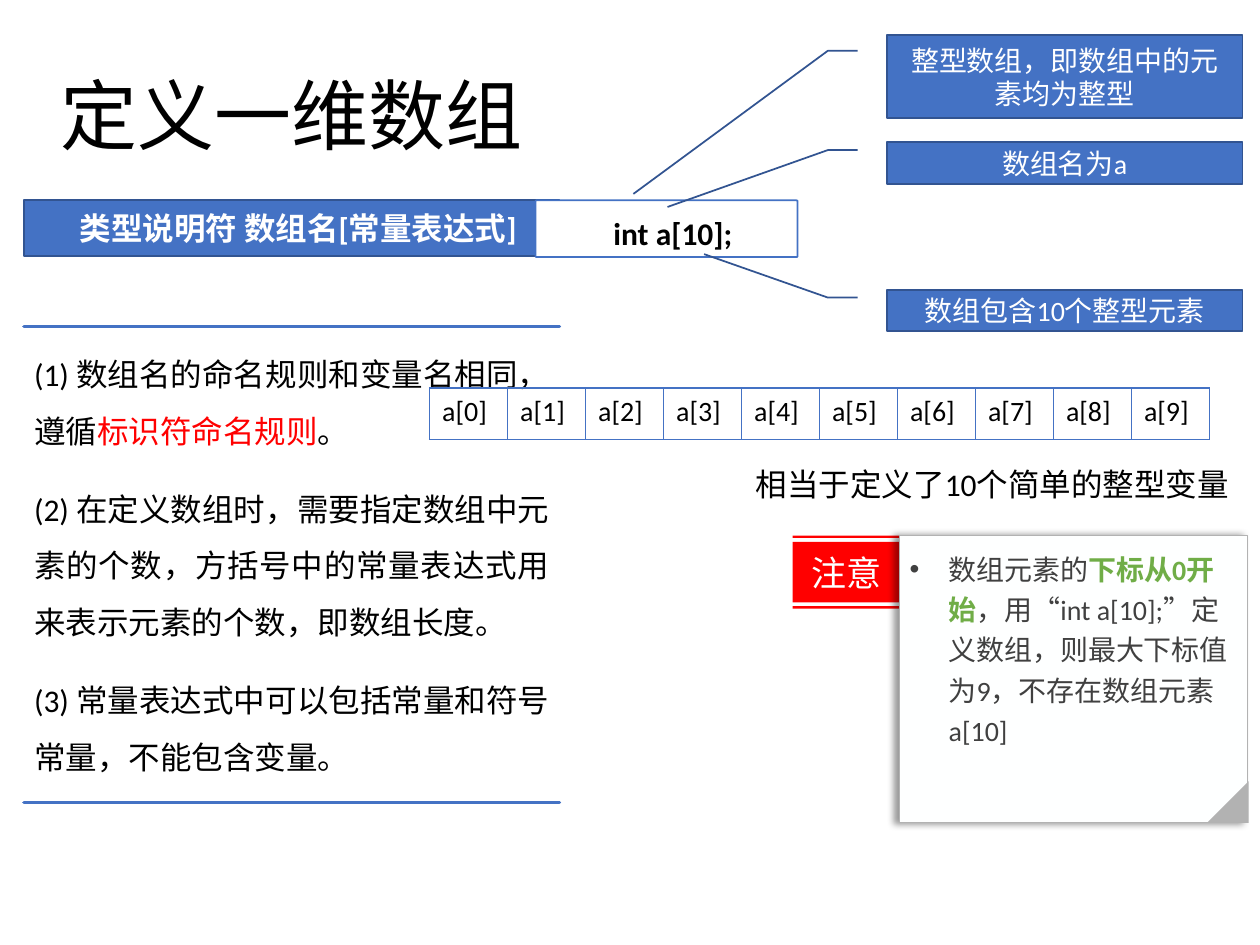
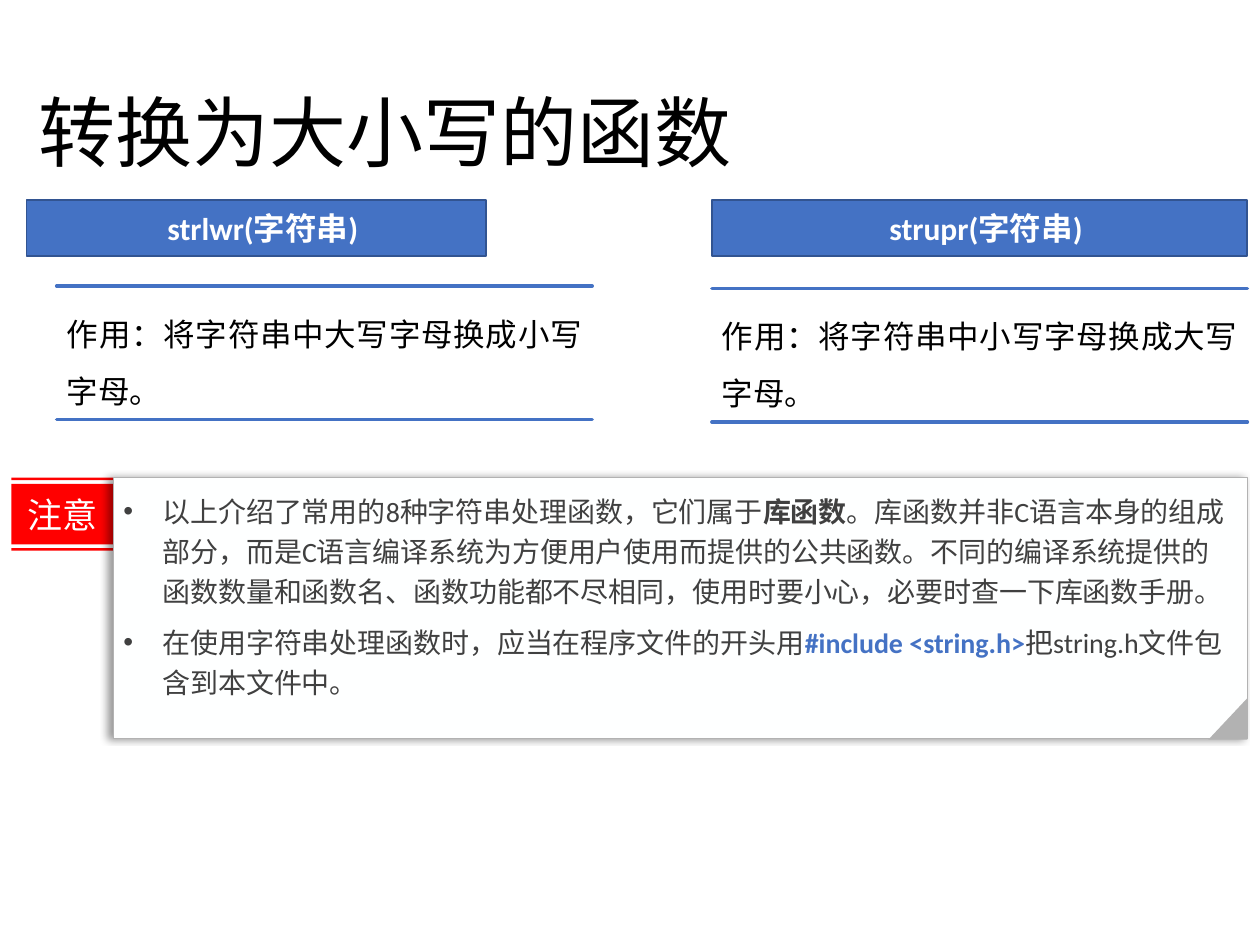
from dataclasses import dataclass

from lxml import etree
from pptx import Presentation
from pptx.dml.color import RGBColor
from pptx.enum.lang import MSO_LANGUAGE_ID
from pptx.enum.shapes import MSO_SHAPE
from pptx.enum.text import MSO_ANCHOR, PP_ALIGN
from pptx.oxml.ns import qn
from pptx.util import Inches, Pt

RECT, ROUND_RECT = MSO_SHAPE.RECTANGLE, MSO_SHAPE.ROUNDED_RECTANGLE
CALLOUT, CORNER = MSO_SHAPE.LINE_CALLOUT_2, MSO_SHAPE.RIGHT_TRIANGLE
TOP, MIDDLE = MSO_ANCHOR.TOP, MSO_ANCHOR.MIDDLE
LEFT, CENTER = PP_ALIGN.LEFT, PP_ALIGN.CENTER
RIGHT, JUSTIFY = PP_ALIGN.RIGHT, PP_ALIGN.JUSTIFY
CHINESE = MSO_LANGUAGE_ID.SIMPLIFIED_CHINESE


@dataclass(frozen=True)
class Theme:
    font: str = "Calibri"
    title: int = 44
    tag: int = 20
    body: int = 18
    small: int = 16
    black: str = "000000"
    white: str = "FFFFFF"
    paper: str = "FEFFFF"
    blue: str = "4472C4"
    dark_blue: str = "325491"
    red: str = "FF0000"
    green: str = "70AD47"
    gray: str = "B2B2B2"
    dark_gray: str = "404040"


THEME = Theme()
BAR_INSETS = (0.2, 0.05, 0.1, 0.05)
NOTE_INSETS = (0.08,) * 4
TEXT_INSETS = (0.1, 0.05, 0.1, 0.05)


def rgb(color):
    return RGBColor.from_string(color)


def sub(parent, tag, **attrs):
    return etree.SubElement(parent, qn(tag), {k: str(v) for k, v in attrs.items()})


def add_bullet(p, indent=0.31):
    pPr = p._p.get_or_add_pPr()
    pPr.set("marL", str(Inches(indent)))
    pPr.set("indent", str(Inches(-indent)))
    sub(pPr, "a:buFont", typeface="Arial")
    sub(pPr, "a:buChar", char="•")


def put_text(tf, paragraphs, size=THEME.body, color=THEME.black, bold=False,
             align=LEFT, anchor=TOP, insets=TEXT_INSETS, spacing=None,
             before=None, after=None, bullet=False):
    """Each paragraph is a string or a list of strings and (string, format) runs."""
    tf.word_wrap = True
    tf.vertical_anchor = anchor
    tf.margin_left, tf.margin_top, tf.margin_right, tf.margin_bottom = map(Inches, insets)
    if isinstance(paragraphs, str):
        paragraphs = [paragraphs]
    for i, runs in enumerate(paragraphs):
        p = tf.add_paragraph() if i else tf.paragraphs[0]
        if bullet:
            add_bullet(p)
        p.alignment = align
        if spacing:
            p.line_spacing = spacing
        if before and i:
            p.space_before = Pt(before)
        if after:
            p.space_after = Pt(after)
        for run in [runs] if isinstance(runs, str) else runs:
            text, own = (run, {}) if isinstance(run, str) else run
            r = p.add_run()
            r.text = text
            r.font.name = THEME.font
            r.font.size = Pt(size)
            r.font.bold = own.get("bold", bold)
            r.font.color.rgb = rgb(own.get("color", color))
            r.font.language_id = CHINESE


class Deck:
    def __init__(self, theme):
        self.theme = theme
        self.prs = Presentation()
        self.prs.slide_width, self.prs.slide_height = Inches(10), Inches(7.5)
        self.s = None

    def new_slide(self, title, x, y):
        self.s = self.prs.slides.add_slide(self.prs.slide_layouts[6])
        self.label(title, x, y, 6.48, 1.45, size=self.theme.title, anchor=MIDDLE, spacing=0.9)

    def label(self, text, x, y, w, h, **fmt):
        sp = self.s.shapes.add_textbox(*map(Inches, (x, y, w, h)))
        put_text(sp.text_frame, text, **fmt)

    def paint(self, sp, fill=None, line=None, width=1):
        sp.shadow.inherit = False
        if fill:
            sp.fill.solid()
            sp.fill.fore_color.rgb = rgb(fill)
        else:
            sp.fill.background()
        if line:
            sp.line.color.rgb = rgb(line)
            sp.line.width = Pt(width)
        else:
            sp.line.fill.background()

    def shape(self, kind, x, y, w, h, fill, line=None, width=1, adjust=()):
        sp = self.s.shapes.add_shape(kind, *map(Inches, (x, y, w, h)))
        for i, value in enumerate(adjust):
            sp.adjustments[i] = value
        self.paint(sp, fill, line, width)
        return sp

    def outline(self, polygons):
        """Join several polygons, given in inches, into one freeform."""
        fb = None
        for points in polygons:
            start, *rest = [(Inches(x), Inches(y)) for x, y in points]
            if fb:
                fb.move_to(*start)
            else:
                fb = self.s.shapes.build_freeform(*start)
            fb.add_line_segments(rest, close=True)
        return fb.convert_to_shape()

    def syntax_bar(self, text, x, w):
        sp = self.shape(RECT, x, 1.59, w, 0.44, self.theme.blue, self.theme.dark_blue)
        put_text(sp.text_frame, text, color=self.theme.white, bold=True,
                 align=CENTER, anchor=MIDDLE, insets=BAR_INSETS)

    def code_box(self, text, x, y, w, h):
        sp = self.shape(ROUND_RECT, x, y, w, h, self.theme.white, self.theme.blue,
                        adjust=[0.018])
        put_text(sp.text_frame, text, bold=True, align=CENTER, spacing=1.2, insets=BAR_INSETS)

    def ruled_text(self, paragraphs, x, y, h, w=4.25):
        """Text between a rule above and a rule below."""
        sp = self.outline([[(x, rule), (x + w, rule), (x, rule)] for rule in (y + h, y)])
        self.paint(sp, line=self.theme.blue, width=2)
        put_text(sp.text_frame, paragraphs, align=JUSTIFY, spacing=1.5,
                 before=6, after=6, insets=NOTE_INSETS)

    def callout(self, text, y, h, end_y, end_x):
        sp = self.shape(CALLOUT, 7.04, y, 2.82, h, self.theme.blue, self.theme.dark_blue,
                        adjust=[0.188, -0.083, 0.188, -0.167, end_y, end_x])
        put_text(sp.text_frame, text, size=self.theme.small, color=self.theme.white,
                 align=CENTER, anchor=MIDDLE)

    def cell_row(self, texts, x, y, w, h):
        table = self.s.shapes.add_table(1, len(texts), *map(Inches, (x, y, w, h))).table
        table.first_row = table.horz_banding = False
        for cell, text in zip(table.iter_cells(), texts):
            put_text(cell.text_frame, text, size=self.theme.small)
            tcPr = cell._tc.get_or_add_tcPr()
            for side in ("a:lnL", "a:lnR", "a:lnT", "a:lnB"):
                ln = sub(tcPr, side, w=Pt(1))
                sub(sub(ln, "a:solidFill"), "a:srgbClr", val=self.theme.blue)
            cell.fill.background()

    def note(self, paragraphs, x, y, w, h, tag_w, fold_h):
        """Red tag, shadowed sheet and folded corner."""
        t = self.theme
        bands = ((0.56, 0.58), (0.05, 0.53), (0, 0.02))
        tag = self.outline([[(x - tag_w, y + a), (x, y + a), (x, y + b), (x - tag_w, y + b)]
                            for a, b in bands])
        self.paint(tag, t.red)
        put_text(tag.text_frame, "注意", size=t.tag, color=t.paper, align=CENTER, anchor=MIDDLE)

        sheet = self.shape(RECT, x, y, w, h, t.paper, t.gray, 0.75)
        effects = sheet._element.spPr.find(qn("a:effectLst"))
        shadow = sub(effects, "a:outerShdw", blurRad=Pt(4), dist=Pt(3), dir=180 * 60000,
                     algn="r", rotWithShape=0)
        sub(sub(shadow, "a:srgbClr", val=t.black), "a:alpha", val=40000)
        put_text(sheet.text_frame, paragraphs, size=t.small, color=t.dark_gray, spacing=1.2,
                 after=6, bullet=True, insets=NOTE_INSETS)

        fold = self.shape(CORNER, 9.58, y + h - fold_h, 0.33, fold_h, t.gray)
        fold.rotation = 270


def array_slide(deck):
    t = deck.theme
    deck.new_slide("定义一维数组", 0.38, 0.22)

    # Syntax and rules
    deck.syntax_bar("类型说明符 数组名[常量表达式]", 0.19, 4.25)
    deck.ruled_text([
        ["(1) 数组名的命名规则和变量名相同，遵循", ("标识符命名规则", {"color": t.red}), "。"],
        "(2) 在定义数组时，需要指定数组中元素的个数，方括号中的常量表达式用来表示元素的个数，即数组长度。",
        "(3) 常量表达式中可以包括常量和符号常量，不能包含变量。",
    ], 0.19, 2.59, 3.78)

    # Example with callouts
    deck.code_box("int a[10];", 4.25, 1.59, 2.08, 0.45)
    for text, y, h, end_y, end_x in [
        ("整型数组，即数组中的元素均为整型", 0.28, 0.66, 1.909, -0.714),
        ("数组名为a", 1.13, 0.33, 1.556, -0.618),
        ("数组包含10个整型元素", 2.3, 0.33, -0.857, -0.515),
    ]:
        deck.callout(text, y, h, end_y, end_x)

    # Array elements
    deck.cell_row([f"a[{i}]" for i in range(10)], 3.41, 3.08, 6.19, 0.41)
    deck.label("相当于定义了10个简单的整型变量", 5.85, 3.64, 4, 0.4, align=RIGHT)

    deck.note([
        ["数组元素的", ("下标从0开始", {"color": t.green, "bold": True}),
         "，用“int a[10];”定义数组，则最大下标值为9，不存在数组元素a[10]"],
    ], 7.14, 4.25, 2.76, 2.28, tag_w=0.85, fold_h=0.33)


def case_slide(deck):
    t = deck.theme
    deck.new_slide("转换为大小写的函数", 0.21, 0.36)

    # The two functions
    for name, bar_x, bar_w, source, result, x, y in [
        ("strlwr", 0.21, 3.65, "大写", "小写", 0.45, 2.27),
        ("strupr", 5.65, 4.25, "小写", "大写", 5.65, 2.29),
    ]:
        deck.syntax_bar(f"{name}(字符串)", bar_x, bar_w)
        deck.ruled_text(f"作用：将字符串中{source}字母换成{result}字母。", x, y, 1.06)

    deck.note([
        ["以上介绍了常用的8种字符串处理函数，它们属于", ("库函数", {"bold": True}),
         "。库函数并非C语言本身的组成部分，而是C语言编译系统为方便用户使用而提供的公共函数。"
         "不同的编译系统提供的函数数量和函数名、函数功能都不尽相同，使用时要小心，"
         "必要时查一下库函数手册。"],
        ["在使用字符串处理函数时，应当在程序文件的开头用",
         ("#include <string.h>", {"color": t.blue, "bold": True}),
         "把string.h文件包含到本文件中。"],
    ], 0.9, 3.79, 9, 2.07, tag_w=0.81, fold_h=0.31)


def main():
    deck = Deck(THEME)
    array_slide(deck)
    case_slide(deck)
    deck.prs.save("out.pptx")


if __name__ == "__main__":
    main()
